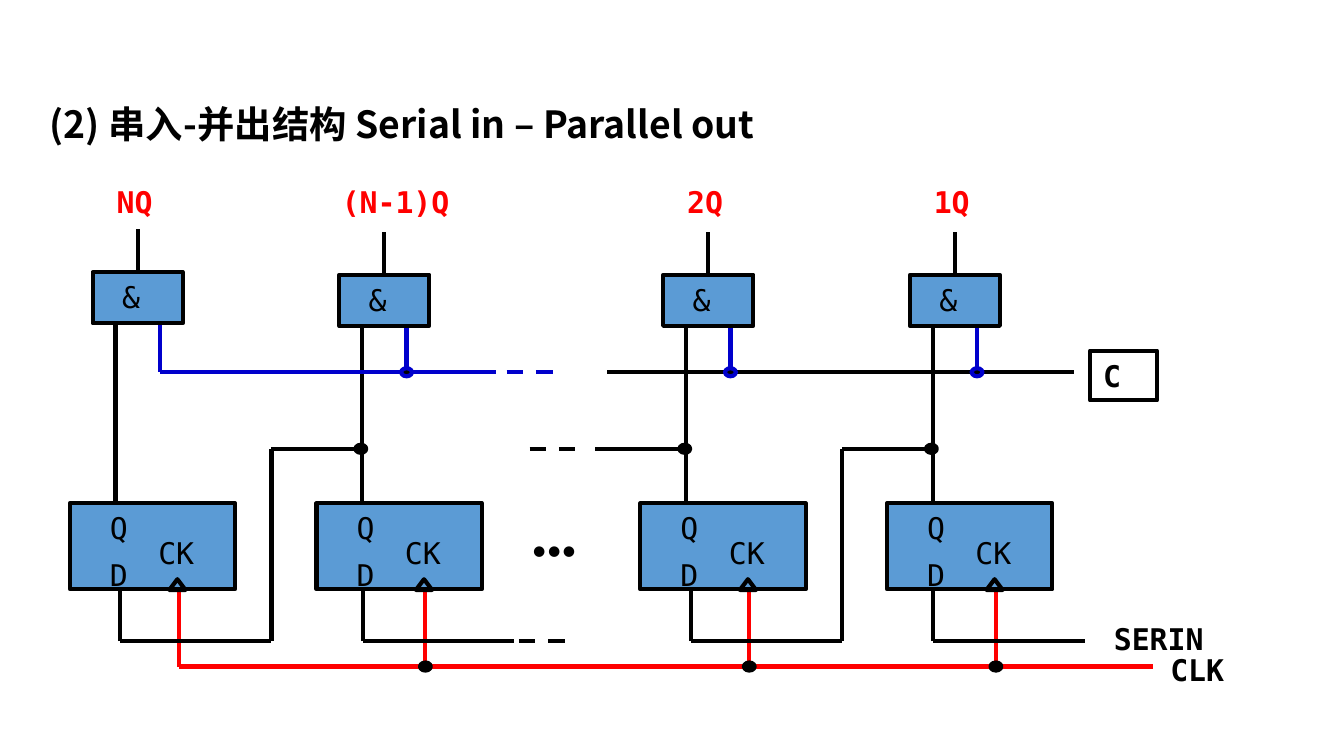
from collections import namedtuple
from lxml.etree import SubElement
from pptx import Presentation
from pptx.dml.color import RGBColor
from pptx.enum.dml import MSO_LINE
from pptx.enum.shapes import MSO_CONNECTOR, MSO_SHAPE
from pptx.enum.text import MSO_ANCHOR, MSO_AUTO_SIZE, PP_ALIGN
from pptx.oxml.ns import qn
from pptx.util import Inches, Pt

CELL = 0.1
BLACK, RED, NAVY, BLUE = "000000", "FF0000", "0000CC", "5B9BD5"
MONO = "DejaVu Sans Mono"
Box = namedtuple("Box", "x y w h")


def grid(*cells):
    return [Inches(n * CELL) for n in cells]


def tint(code):
    return RGBColor.from_string(code)


def style(para, size=16, bold=False, color=BLACK, face=MONO):
    para.alignment = PP_ALIGN.LEFT
    font = para.font
    font.name, font.size, font.bold = face, Pt(size), bold
    font.color.rgb = tint(color)


def label(slide, text, x, y, w=4, **look):
    frame = slide.shapes.add_textbox(*grid(x, y, w, 3.7)).text_frame
    frame.word_wrap = True
    frame.text = text
    style(frame.paragraphs[0], **look)


def wire(slide, x1, y1, x2, y2, color=BLACK, dash=False):
    line = slide.shapes.add_connector(MSO_CONNECTOR.STRAIGHT, *grid(x1, y1, x2, y2))
    line.line.color.rgb = tint(color)
    line.line.width = Pt(2.25)
    if dash:
        line.line.dash_style = MSO_LINE.DASH
    SubElement(line._element.spPr, qn("a:effectLst"))
    return line


def block(slide, kind, x, y, w, h, fill=None, edge=BLACK):
    shape = slide.shapes.add_shape(kind, *grid(x, y, w, h))
    shape.shadow.inherit = False
    if fill:
        shape.fill.solid()
        shape.fill.fore_color.rgb = tint(fill)
    else:
        shape.fill.background()
    shape.line.color.rgb = tint(edge)
    shape.line.width = Pt(2.25)
    return shape


def heading(slide, box):
    title = slide.shapes.title
    title.left, title.top, title.width, title.height = grid(*box)
    frame = title.text_frame
    frame.text = "(2) 串入-并出结构 Serial in – Parallel out"
    frame.auto_size = MSO_AUTO_SIZE.NONE
    frame.vertical_anchor = MSO_ANCHOR.TOP
    para = frame.paragraphs[0]
    para.line_spacing = 0.9
    style(para, 20, True, face="Noto Sans CJK JP")


def stage(slide, box, name, shift, lift, loop):
    x, y, w, h = box
    gate, flip, feed = y + 7.35 - lift, y + 24.35, y + 34.6
    data = x + (3.75 if loop else 3.45)
    wire(slide, x + 3.4, flip, x + 3.4, gate + 3.8)
    wire(slide, x + 6.7, gate + 3.8, x + 6.7, y + 14.6, NAVY)
    wire(slide, data, feed, data, flip + 6.4)
    wire(slide, x + 8.1, y + h, x + 8.1, flip + 6.4, RED)
    wire(slide, data, feed, data + 11.25, feed)
    if loop:
        wire(slide, x + 15, y + 20.3, x + 15, feed)
        wire(slide, x + 15, y + 20.3, x + 21.7, y + 20.3)
    block(slide, MSO_SHAPE.RECTANGLE, x, flip, w, 6.4, BLUE)
    block(slide, MSO_SHAPE.FLOWCHART_EXTRACT, x + 7.4, flip + 5.65, 1.2, 0.8)
    label(slide, "Q", x + 2, flip - 0.05)
    label(slide, "D", x + 2, flip + 3.5)
    label(slide, "CK", x + 5.6, flip + 1.85, 6.4)
    door = block(slide, MSO_SHAPE.RECTANGLE, x + 1.7, gate, 6.7, 3.8, BLUE)
    label(slide, "&", x + 2.9, gate, 4.2)
    out = wire(slide, x + 5.05, gate, x + 5.05, gate - 3.2)
    out.begin_connect(door, 0)
    label(slide, name, x + shift, y + 0.05, 11.7, bold=True, color=RED)


def buses(slide, box):
    x, y, w, h = box
    right, ctrl, data, feed, clock = x + w, y + 14.6, y + 20.3, y + 34.6, y + h
    wire(slide, x + 6.7, ctrl, x + 31.7, ctrl, NAVY)
    wire(slide, x + 32.5, ctrl, x + 36.7, ctrl, NAVY, True)
    wire(slide, x + 40, ctrl, right - 5.9, ctrl)
    wire(slide, x + 34.2, data, x + 38.4, data, dash=True)
    wire(slide, x + 39.1, data, x + 45.9, data)
    wire(slide, x + 33.4, feed, x + 37.5, feed, dash=True)
    wire(slide, x + 8.1, clock, right, clock, RED)
    label(slide, "•••", x + 33.4, y + 25.9, 7.5, face="Calibri")
    port = block(slide, MSO_SHAPE.RECTANGLE, right - 4.7, y + 13, 5, 3.7)
    frame = port.text_frame
    frame.vertical_anchor = MSO_ANCHOR.TOP
    frame.text = "C"
    style(frame.paragraphs[0], bold=True)
    label(slide, "SERIN", right - 3.9, y + 32.6, 11.7, bold=True)
    label(slide, "CLK", right + 0.3, y + 34.9, 8.3, bold=True)


def joints(slide, box):
    for dx, dy, edge in ((3.3, 20.3, BLACK), (6.7, 14.6, NAVY), (8.1, box.h, BLACK)):
        block(slide, MSO_SHAPE.OVAL, box.x + dx - 0.4, box.y + dy - 0.3, 0.8, 0.6, BLACK, edge)


def main():
    deck = Presentation()
    deck.slide_width, deck.slide_height = Inches(10), Inches(10 * 9 / 16)
    slide = deck.slides.add_slide(deck.slide_layouts[5])
    heading(slide, Box(2.7, 7.4, 75.8, 6.2))
    area = Box(5.2, 13.1, 80.6, 36.5)
    pitch, half = 18.35, 42.45
    names = (("NQ", 2.5), ("(N-1)Q", 0.9), ("2Q", 2.5), ("1Q", 2.5))
    cells = [area._replace(x=area.x + half * (i // 2) + pitch * (i % 2), w=12.3)
             for i in range(len(names))]
    for i, (cell, (name, shift)) in enumerate(zip(cells, names)):
        stage(slide, cell, name, shift, 0 if i else 0.2, i % 2 == 0)
    buses(slide, area)
    for cell in cells[1:]:
        joints(slide, cell)
    deck.save("out.pptx")


if __name__ == "__main__":
    main()
